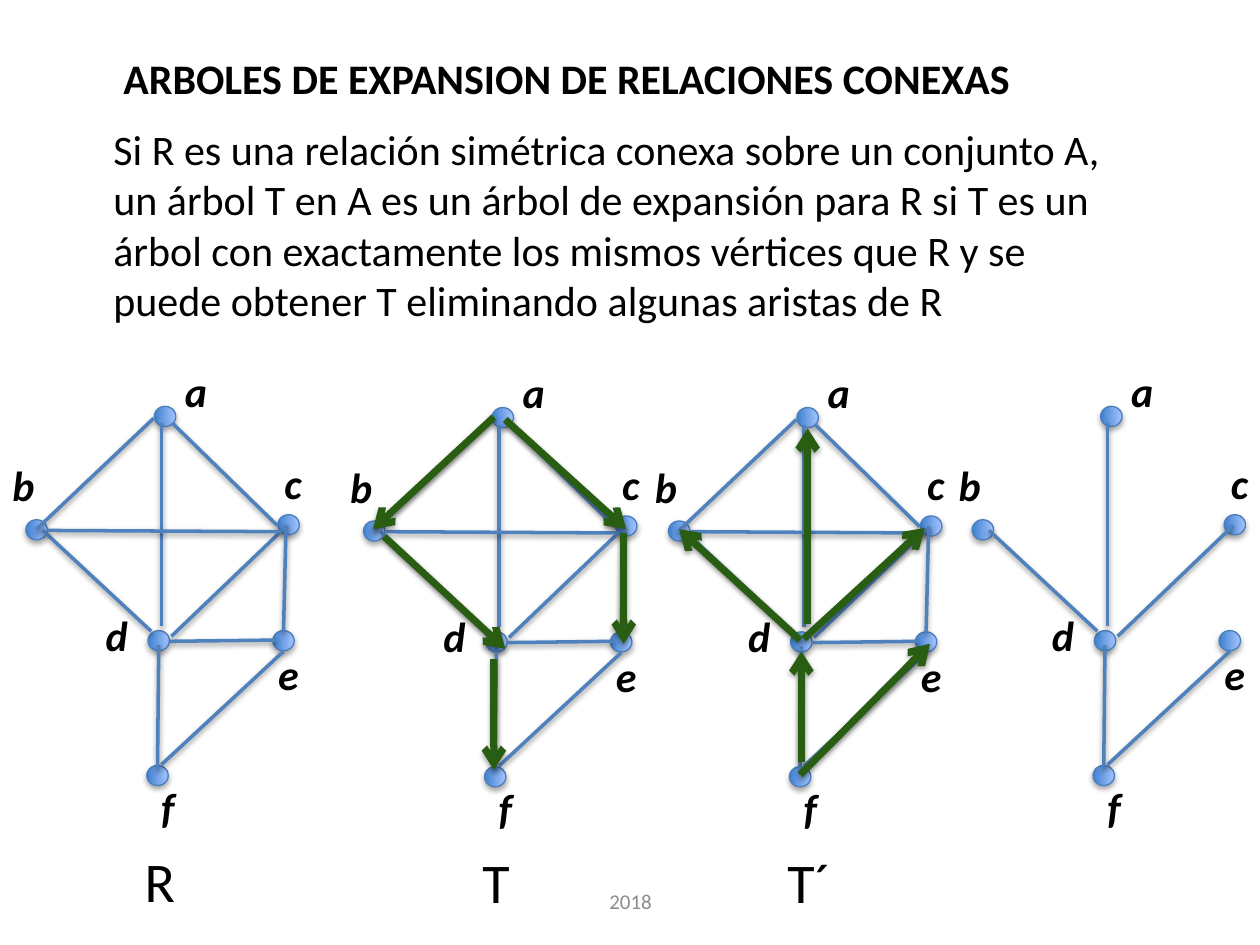
from lxml import etree
from pptx import Presentation
from pptx import util as u
from pptx.dml.color import RGBColor
from pptx.enum import shapes, text
from pptx.oxml.ns import qn

TITLE = "ARBOLES DE EXPANSION DE RELACIONES CONEXAS"
DEFINITION = (
    "Si R es una relación simétrica conexa sobre un conjunto A, un árbol T en A "
    "es un árbol de expansión para R si T es un árbol con exactamente los mismos "
    "vértices que R y se puede obtener T eliminando algunas aristas de R"
)
FOOTER = "2018"

BLACK, GREY = "000000", "8C8C8C"
NODE_DARK, NODE_LIGHT, NODE_LINE = "3F80CE", "A4C4FF", "4B7EBC"
EDGE, ARROW = "4F81BD", "295E12"
NODE_SIZE = (0.16, 0.17)
LABEL_SIZE = (0.67, 0.5)
NAME_SIZE = (0.65, 0.64)
NAME_PLACE = (1.05, 6.67)

# Places below are inches within the first graph; the others are shifted.
# vertex: (left, top of its dot), (left, top of its letter)
VERTICES = {
    "a": ((1.23, 3.22), (1.37, 2.85)),
    "b": ((0.21, 4.12), (0, 3.6)),
    "c": ((2.21, 4.08), (2.16, 3.58)),
    "d": ((1.18, 5), (0.74, 4.79)),
    "e": ((2.17, 5), (2.11, 5.1)),
    "f": ((1.17, 6.07), (1.18, 6.15)),
}
EDGES = {
    "ad": ((1.28, 3.36), (1.28, 4.97)),
    "df": ((1.26, 5.12), (1.25, 6.1)),
    "ac": ((1.37, 3.36), (2.2, 4.17)),
    "bd": ((0.34, 4.21), (1.2, 5.01)),
    "dc": ((1.36, 5.05), (2.28, 4.17)),
    "ba": ((0.29, 4.2), (1.22, 3.32)),
    "fe": ((1.28, 6.07), (2.25, 5.17)),
    "bc": ((0.38, 4.21), (2.22, 4.22)),
    "ce": ((2.27, 4.19), (2.25, 5.01)),
    "de": ((1.35, 5.09), (2.19, 5.08)),
}
ARROWS_T = [
    ((1.24, 3.3), (0.28, 4.19)),
    ((1.33, 3.32), (2.29, 4.19)),
    ((2.27, 4.22), (2.27, 5.1)),
    ((0.37, 4.25), (1.33, 5.14)),
    ((1.24, 5.22), (1.24, 6.1)),
]
ARROWS_T2 = [
    ((1.28, 5.06), (2.24, 4.18)),
    ((1.31, 4.94), (1.31, 3.39)),
    ((1.25, 5.07), (0.29, 4.19)),
    ((1.26, 6.04), (1.26, 5.16)),
    ((1.25, 6.14), (2.28, 5.1)),
]
TREE_EDGES = ["ad", "df", "bd", "dc", "fe"]
# name, shift (right, down), edges, arrows
GRAPHS = [
    ("R", (0, 0), EDGES, []),
    ("T", (2.68, 0.01), EDGES, ARROWS_T),
    ("T´", (5.1, 0.01), EDGES, ARROWS_T2),
    ("", (7.51, 0), TREE_EDGES, []),
]


def color(value):
    return RGBColor.from_string(value)


def inches(values):
    return [u.Inches(value) for value in values]


def shifted(place, shift):
    return place[0] + shift[0], place[1] + shift[1]


def add_shadow(shape, distance, opacity):
    """Give a downward shadow; distance in EMU, opacity in percent."""
    effects = etree.SubElement(shape._element.spPr, qn("a:effectLst"))
    shadow = etree.SubElement(effects, qn("a:outerShdw"), blurRad="40000",
                              dist=str(distance), dir="5400000", rotWithShape="0")
    black = etree.SubElement(shadow, qn("a:srgbClr"), val=BLACK)
    etree.SubElement(black, qn("a:alpha"), val=str(opacity * 1000))


def write(shape, words, size, fill=BLACK, bold=False, italic=False,
          align=text.PP_ALIGN.LEFT, anchor=text.MSO_ANCHOR.TOP):
    frame = shape.text_frame
    frame.word_wrap = True
    frame.auto_size = text.MSO_AUTO_SIZE.NONE
    frame.vertical_anchor = anchor
    paragraph = frame.paragraphs[0]
    paragraph.text = words
    paragraph.alignment = align
    paragraph.space_before = u.Pt(0)
    font = paragraph.font
    font.name, font.size, font.bold, font.italic = "Calibri", u.Pt(size), bold, italic
    font.color.rgb = color(fill)


def add_text(slide, place, size, *args, **style):
    write(slide.shapes.add_textbox(*inches((*place, *size))), *args, **style)


def move(shape, left, top, width, height):
    shape.left, shape.top, shape.width, shape.height = inches((left, top, width, height))


def add_node(slide, place):
    node = slide.shapes.add_shape(shapes.MSO_SHAPE.OVAL, *inches((*place, *NODE_SIZE)))
    node.rotation = 90
    node.fill.gradient()
    node.fill.gradient_angle = 90
    for stop, position, value in zip(node.fill.gradient_stops, (0, 1),
                                     (NODE_DARK, NODE_LIGHT)):
        stop.position = position
        stop.color.rgb = color(value)
    node.line.color.rgb = color(NODE_LINE)
    node.line.width = u.Pt(0.75)
    add_shadow(node, 23000, 35)


def add_line(slide, ends, shift, value, width, arrow=False):
    start, end = (shifted(place, shift) for place in ends)
    line = slide.shapes.add_connector(shapes.MSO_CONNECTOR.STRAIGHT,
                                      *inches((*start, *end)))
    line.line.color.rgb = color(value)
    line.line.width = u.Pt(width)
    if arrow:
        outline = line._element.spPr.find(qn("a:ln"))
        etree.SubElement(outline, qn("a:tailEnd"), type="arrow")
    add_shadow(line, 20000, 38)


def add_graph(slide, name, shift, edges, arrows):
    for letter, (dot, label) in VERTICES.items():
        add_node(slide, shifted(dot, shift))
        add_text(slide, shifted(label, shift), LABEL_SIZE, letter, 24,
                 bold=True, italic=True)
    for edge in edges:
        add_line(slide, EDGES[edge], shift, EDGE, 2)
    if name:
        add_text(slide, shifted(NAME_PLACE, shift), NAME_SIZE, name, 32)
    for ends in arrows:
        add_line(slide, ends, shift, ARROW, 4, arrow=True)


def main():
    presentation = Presentation()
    presentation.slide_width, presentation.slide_height = inches((10, 7.5))
    slide = presentation.slides.add_slide(presentation.slide_layouts[1])

    title, body = slide.placeholders
    move(title, 0.88, 0.37, 8.18, 0.5)
    write(title, TITLE, 24, bold=True)
    move(body, 0.8, 0.93, 8.27, 1.72)
    properties = body.text_frame.paragraphs[0]._p.get_or_add_pPr()
    properties.set("marL", "0")
    properties.set("indent", "0")
    etree.SubElement(properties, qn("a:buNone"))
    write(body, DEFINITION, 24)

    for graph in GRAPHS:
        add_graph(slide, *graph)
    add_text(slide, (3.42, 6.95), (3.17, 0.4), FOOTER, 12, fill=GREY,
             align=text.PP_ALIGN.CENTER, anchor=text.MSO_ANCHOR.MIDDLE)
    presentation.save("out.pptx")


if __name__ == "__main__":
    main()
